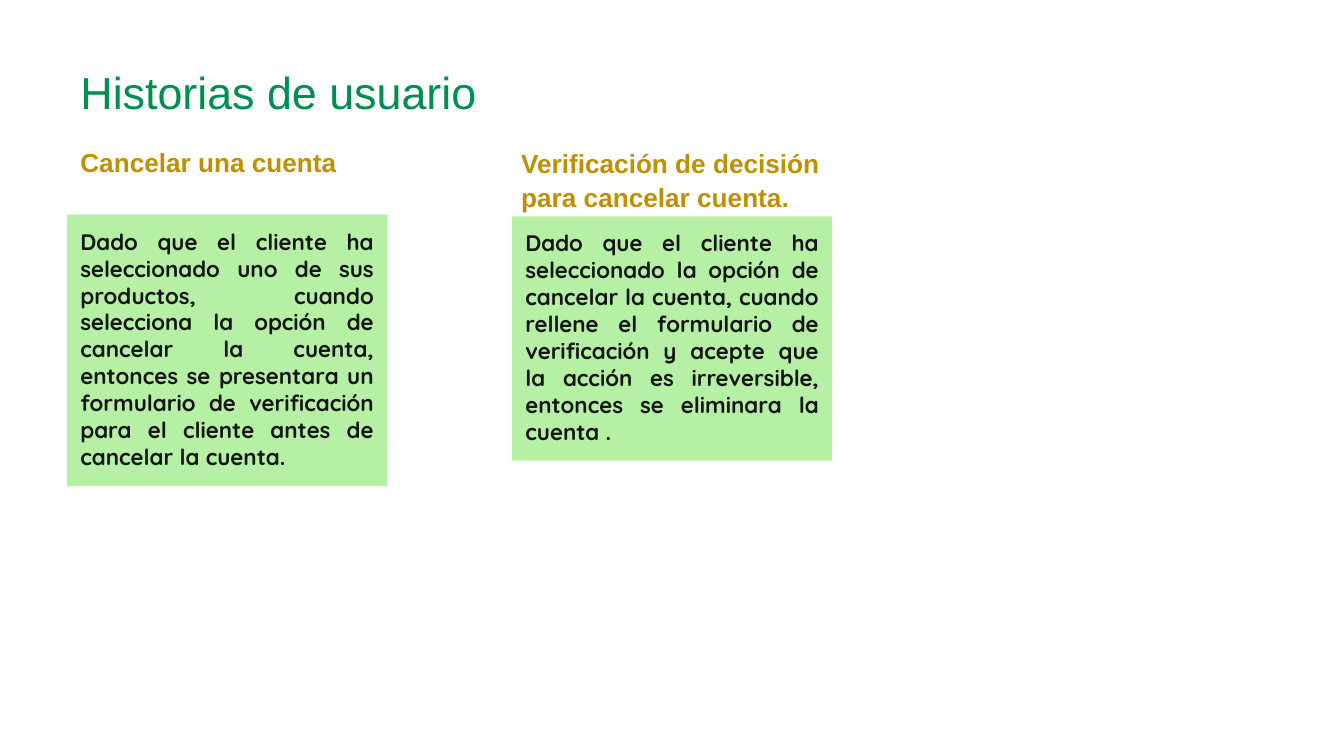
from dataclasses import dataclass

from lxml import etree
from pptx import Presentation
from pptx import util as u
from pptx.dml.color import RGBColor
from pptx.enum import shapes, text
from pptx.oxml.ns import qn

COLORS = {
    "title": "008F4F",
    "heading": "BF9000",
    "card": "6CE24A",
    "body": "151515",
}
CARD_WIDTH = u.Cm(6.05)
CARD_OPACITY = 50
PADDING = u.Cm(0.25)
HEADING_SPACING = 1.07


@dataclass
class Box:
    left: float
    top: float
    width: float
    height: float


@dataclass
class Story:
    heading: str
    heading_box: Box
    body: str
    card_box: Box


STORIES = [
    Story(
        "Cancelar una cuenta",
        Box(1.27, 2.59, 6.05, 0.86),
        "Dado que el cliente ha seleccionado uno de sus productos, cuando "
        "selecciona la opción de cancelar la cuenta, entonces se presentara un "
        "formulario de verificación para el cliente antes de cancelar la cuenta.",
        Box(1.27, 4.06, 6.05, 5.13),
    ),
    Story(
        "Verificación de decisión para cancelar cuenta.",
        Box(9.6, 2.62, 6.22, 1.45),
        "Dado que el cliente ha seleccionado la opción de cancelar la cuenta, "
        "cuando rellene el formulario de verificación y acepte que la acción es "
        "irreversible, entonces se eliminara la cuenta .",
        Box(9.68, 4.09, 6.05, 4.62),
    ),
]


def position(box: Box) -> tuple:
    return u.Cm(box.left), u.Cm(box.top), u.Cm(box.width), u.Cm(box.height)


def write(shape, content: str, size: int, font: str, color: str, bold: bool,
          align, spacing: float, vertical_padding) -> None:
    frame = shape.text_frame
    frame.word_wrap = True
    frame.auto_size = text.MSO_AUTO_SIZE.NONE
    frame.vertical_anchor = text.MSO_ANCHOR.TOP
    frame.margin_left = frame.margin_right = PADDING
    frame.margin_top = frame.margin_bottom = vertical_padding
    paragraph = frame.paragraphs[0]
    paragraph.alignment = align
    paragraph.line_spacing = spacing
    run = paragraph.add_run()
    run.text = content
    run.font.size = u.Pt(size)
    run.font.name = font
    run.font.bold = bold
    run.font.color.rgb = RGBColor.from_string(COLORS[color])


def add_title(slide, content: str, box: Box) -> None:
    title = slide.shapes.title
    title.left, title.top, title.width, title.height = position(box)
    write(title, content, 24, "Arial", "title", False,
          text.PP_ALIGN.LEFT, HEADING_SPACING, PADDING)


def add_story(slide, story: Story) -> None:
    card = slide.shapes.add_shape(
        shapes.MSO_SHAPE.RECTANGLE, *position(story.card_box))
    card.shadow.inherit = False
    card.line.fill.background()
    card.fill.solid()
    card.fill.fore_color.rgb = RGBColor.from_string(COLORS["card"])
    color = card.fill._xPr.find(qn("a:solidFill"))[0]
    etree.SubElement(color, qn("a:alpha"), val=str(CARD_OPACITY * 1000))
    write(card, story.body, 12, "Quicksand", "body", True,
          text.PP_ALIGN.JUSTIFY, 1.0, PADDING)

    heading = slide.shapes.add_textbox(*position(story.heading_box))
    write(heading, story.heading, 14, "Arial", "heading", True,
          text.PP_ALIGN.LEFT, HEADING_SPACING, u.Cm(0.13))


def main() -> None:
    presentation = Presentation()
    presentation.slide_width = u.Cm(25.4)
    presentation.slide_height = u.Cm(14.29)
    slide = presentation.slides.add_slide(presentation.slide_layouts[5])
    add_title(slide, "Historias de usuario", Box(1.27, 0.91, 17.63, 1.98))
    for story in STORIES:
        add_story(slide, story)
    presentation.save("out.pptx")


if __name__ == "__main__":
    main()
